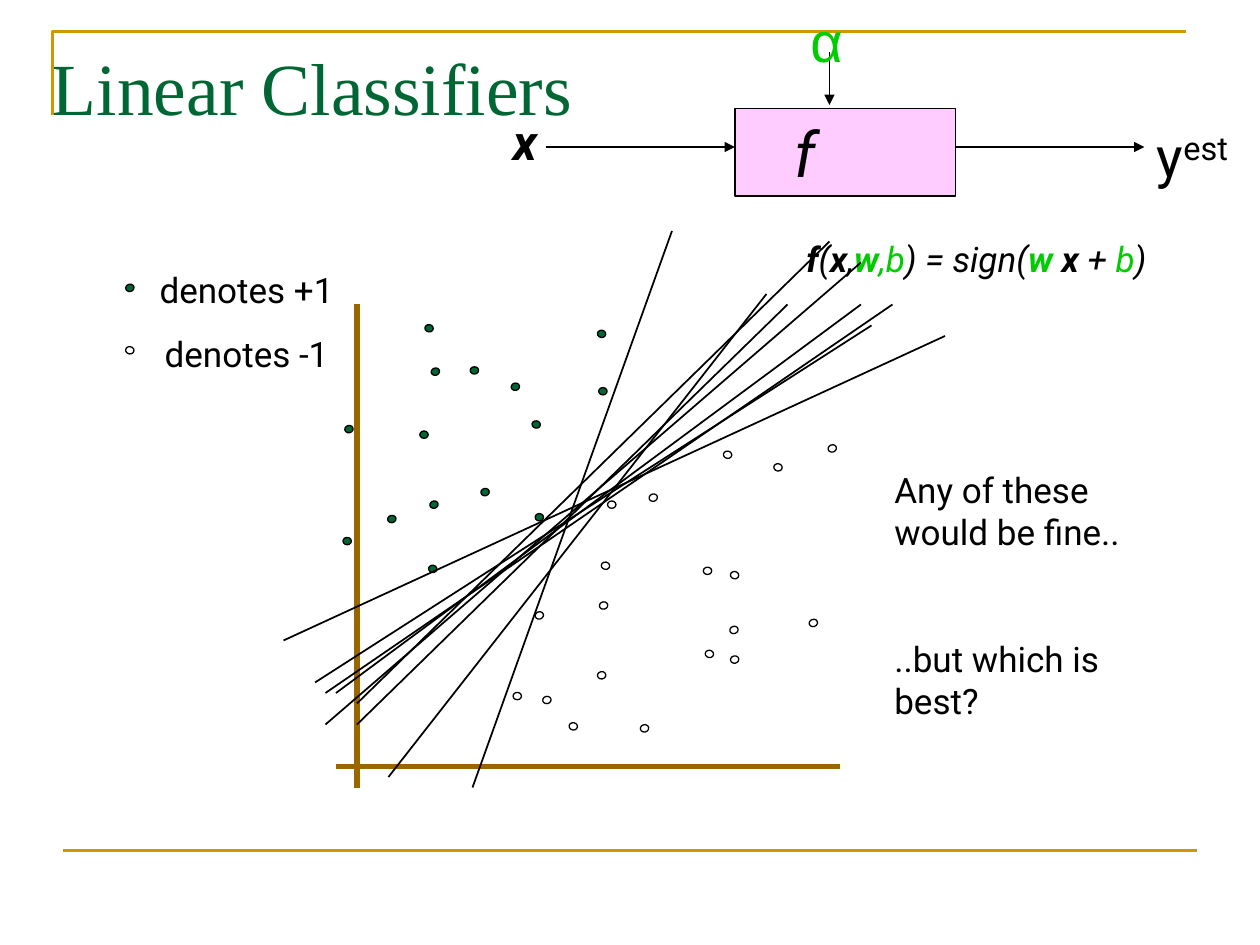
"""Build the slide on linear classifiers that separate two classes of points."""
from lxml import etree
from pptx import Presentation
from pptx.dml.color import RGBColor
from pptx.enum import shapes as kinds, text as layout
from pptx.oxml import ns
from pptx.util import Pt

colour = RGBColor.from_string
BLACK, WHITE, GREEN, PARAMETER = "000000", "FFFFFF", "006633", "00CC00"
GOLD, BROWN, PINK = "CC9900", "996600", "FFCCFF"
LEFT, CENTRE = layout.PP_ALIGN.LEFT, layout.PP_ALIGN.CENTER

deck = Presentation()
deck.slide_width, deck.slide_height = Pt(720), Pt(540)
slide = deck.slides.add_slide(deck.slide_layouts[5])
canvas = slide.shapes


def draw_line(start, end, hue=BLACK, width=1, arrow=False):
    """Draw a straight line, with an arrowhead at its end if wanted."""
    ends = [Pt(value) for value in (*start, *end)]
    connector = canvas.add_connector(kinds.MSO_CONNECTOR.STRAIGHT, *ends)
    connector.line.color.rgb = colour(hue)
    connector.line.width = Pt(width)
    if arrow:
        etree.SubElement(connector.line._get_or_add_ln(), ns.qn("a:tailEnd"), type="triangle")
    etree.SubElement(connector._element.spPr, ns.qn("a:effectLst"))


def write(holder, paragraphs, size, align=LEFT, gap=0, font="Roboto"):
    """Fill a shape with paragraphs of (text, colour, style) runs."""
    frame = holder.text_frame
    frame.word_wrap = True
    for index, pieces in enumerate(paragraphs):
        paragraph = frame.add_paragraph() if index else frame.paragraphs[0]
        paragraph.alignment = align
        paragraph.space_before = Pt(gap if index else 0)
        for words, hue, style in pieces:
            run = paragraph.add_run()
            run.text = words
            run.font.name, run.font.size = font, Pt(size)
            run.font.color.rgb = colour(hue)
            run.font.bold, run.font.italic = "b" in style, "i" in style
    return frame


corner = canvas.build_freeform(Pt(30), Pt(66), scale=1.0)
corner.add_line_segments([(Pt(30), Pt(18)), (Pt(678), Pt(18))], close=False)
frame_corner = corner.convert_to_shape()
frame_corner.shadow.inherit = False
frame_corner.fill.background()
frame_corner.line.color.rgb = colour(GOLD)
frame_corner.line.width = Pt(1.5)
draw_line((36, 486), (684, 486), GOLD, 1.5)

title = canvas.title
title.left, title.top, title.width, title.height = Pt(12), Pt(24), Pt(366), Pt(54)
heading = write(title, [[("Linear Classifiers", GREEN, "")]], 42, font="Times New Roman")
heading.auto_size = layout.MSO_AUTO_SIZE.NONE
heading.vertical_anchor = layout.MSO_ANCHOR.BOTTOM
heading.margin_left = Pt(17.7)

classifier = canvas.add_shape(kinds.MSO_SHAPE.RECTANGLE, Pt(420), Pt(62), Pt(126), Pt(50))
classifier.shadow.inherit = False
classifier.fill.solid()
classifier.fill.fore_color.rgb = colour(PINK)
classifier.line.color.rgb = colour(BLACK)
classifier.line.width = Pt(1)
function_name = write(classifier, [[("f", BLACK, "i")]], 36, CENTRE)
function_name.vertical_anchor = layout.MSO_ANCHOR.MIDDLE
function_name.margin_right = Pt(53)

for start, end in [((312, 84), (420, 84)), ((474, 30), (474, 60)), ((546, 84), (654, 84))]:
    draw_line(start, end, arrow=True)

decision_rule = [
    ("f", BLACK, "bi"), ("(", BLACK, "i"), ("x", BLACK, "bi"), (",", BLACK, "i"),
    ("w", PARAMETER, "bi"), (",b", PARAMETER, "i"), (") = sign(", BLACK, "i"),
    ("w", PARAMETER, "bi"), (" x ", BLACK, "bi"), ("+ ", BLACK, "i"),
    ("b", PARAMETER, "i"), (")", BLACK, "i"),
]
legend = [[("denotes +1", BLACK, "")], [("denotes -1", BLACK, "")]]
question = [[("Any of these would be fine..", BLACK, "")], [("..but which is best?", BLACK, "")]]
labels = [
    ((276, 60, 48, 41), [[("x", BLACK, "bi")]], 28, CENTRE, 0),
    ((456, 0, 30, 46), [[("α", PARAMETER, "")]], 32, CENTRE, 0),
    ((654, 66, 66, 46), [[("y", BLACK, ""), ("est", BLACK, "")]], 32, LEFT, 0),
    ((66, 150, 150, 68), legend, 20, CENTRE, 12.5),
    ((432, 132, 252, 32), [decision_rule], 20, CENTRE, 0),
    ((504, 264, 174, 153), question, 20, LEFT, 49),
]
for area, paragraphs, size, align, gap in labels:
    label = write(canvas.add_textbox(*map(Pt, area)), paragraphs, size, align, gap)
    for run in label.paragraphs[0].runs:
        if run.text == "α":
            run.font.name = "Arial"
        elif run.text == "est":
            run.font._element.set("baseline", "30000")

draw_line((204, 174), (204, 450), BROWN, 3)
draw_line((192, 438), (480, 438), BROWN, 3)

samples = [
    (0, WHITE, [(295.6, 397.8), (349.6, 288.4), (404.3, 326.2)]),
    (0, GREEN, [(198.4, 309.2), (344.5, 223.6), (271.1, 211.7), (308.2, 295.6), (242.3, 248.4)]),
    (-18.6, WHITE, [(308.2, 351.7), (475.6, 256.3), (419.4, 360), (373.3, 284.4), (464.8, 356)]),
    (-18.6, GREEN, [(248.8, 212.4), (248, 288.4)]),
    (8.2, WHITE, [(74.2, 200.2), (327.6, 415.1), (419.8, 328.7), (346, 323.3), (444.6, 267.1),
                  (415.8, 259.9), (405.4, 373.7)]),
    (8.2, GREEN, [(306.4, 242.6), (247.3, 325.1), (343.8, 190.8), (245.2, 187.6)]),
    (-10.4, WHITE, [(368.3, 416.2), (343.8, 385.9), (344.9, 346), (312.5, 400), (419.8, 376.9)]),
    (-10.4, GREEN, [(74.2, 164.5), (277.2, 281.2), (223.9, 296.6), (294.5, 221), (199.4, 245.2)]),
]
dot_width, dot_height = 4.8, 4.2
for tilt, hue, centres in samples:
    for x, y in centres:
        dot = canvas.add_shape(kinds.MSO_SHAPE.OVAL, Pt(x - dot_width / 2),
                               Pt(y - dot_height / 2), Pt(dot_width), Pt(dot_height))
        dot.rotation = tilt
        dot.shadow.inherit = False
        dot.fill.solid()
        dot.fill.fore_color.rgb = colour(hue)
        dot.line.color.rgb = colour(BLACK)
        dot.line.width = Pt(0.75)

separators = [
    ((270, 450), (384, 132)), ((180, 390), (498, 186)), ((204, 414), (450, 174)),
    ((162, 366), (540, 192)), ((192, 396), (492, 174)), ((186, 414), (492, 150)),
    ((204, 402), (474, 138)), ((222, 444), (438, 168)), ((186, 396), (510, 174)),
]
for start, end in separators:
    draw_line(start, end)

deck.save("out.pptx")
